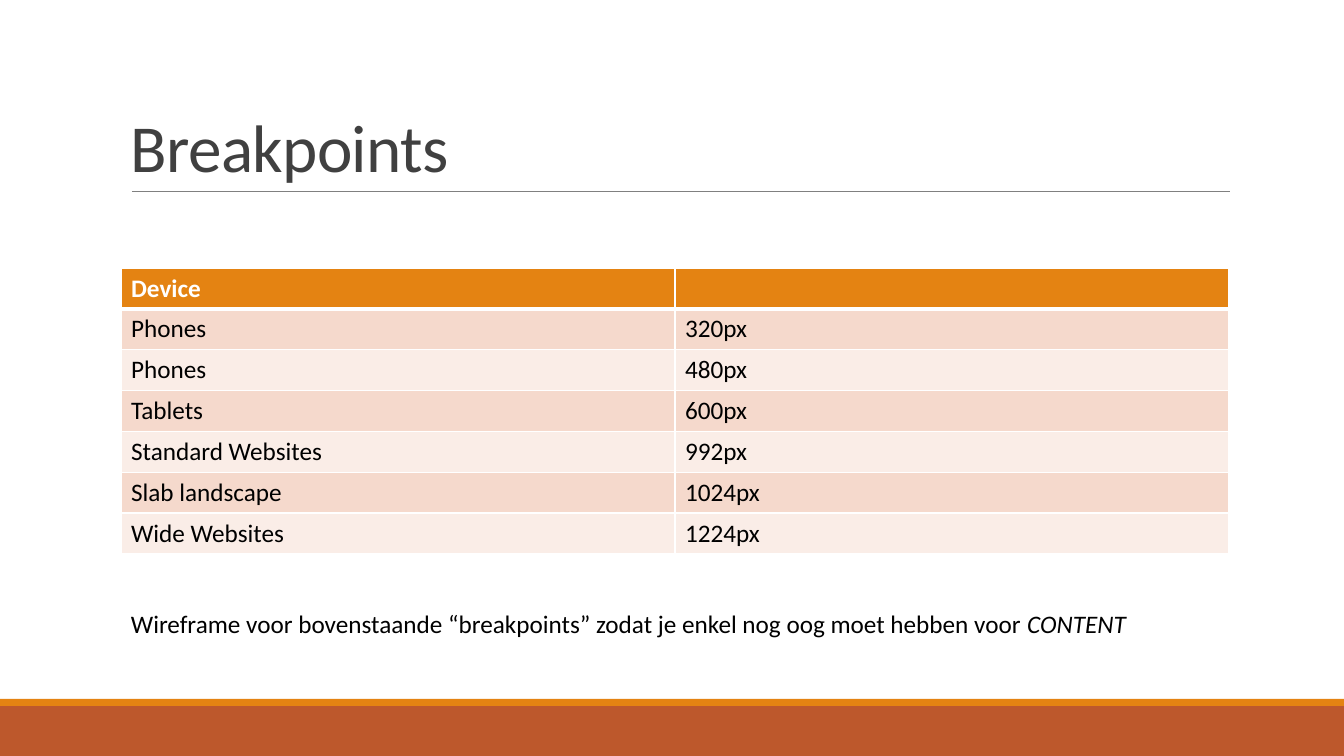
import lxml.etree
import pptx
import pptx.dml.color
import pptx.enum.shapes
import pptx.enum.text
import pptx.oxml.ns
import pptx.util

COLOURS = {
    "orange": "E48312", "rust": "BD582C", "rule": "808080", "title": "404040",
    "white": "FFFFFF", "black": "000000", "dark_band": "F5D9CC", "light_band": "FAEDE7",
}
BREAKPOINTS = [
    ("Device", ""),
    ("Phones", "320px"),
    ("Phones", "480px"),
    ("Tablets", "600px"),
    ("Standard Websites", "992px"),
    ("Slab landscape", "1024px"),
    ("Wide Websites", "1224px"),
]


def px(length):
    """Turn whole pixels into EMU."""
    return pptx.util.Emu(round(length * 9144000 / 1008))


def colour(name):
    """Look up a colour by name."""
    return pptx.dml.color.RGBColor.from_string(COLOURS[name])


def style(span, size, ink, bold=False, italic=False):
    """Format one run of text."""
    span.font.name = "Calibri"
    span.font.size = pptx.util.Pt(size)
    span.font.color.rgb = colour(ink)
    span.font.bold = bold
    span.font.italic = italic


def add_text_box(page, box):
    """Add a wrapping text box and return its frame."""
    frame = page.shapes.add_textbox(*map(px, box)).text_frame
    frame.word_wrap = True
    return frame


def add_footer(page, box):
    """Draw the thin orange strip above the rust band."""
    left, top, width, height = box
    strip = 7
    bands = [(top + strip, height - strip, "rust"), (top, strip, "orange")]
    for band_top, band_height, fill in bands:
        band = page.shapes.add_shape(
            pptx.enum.shapes.MSO_SHAPE.RECTANGLE,
            px(left), px(band_top), px(width), px(band_height))
        band.shadow.inherit = False
        band.fill.solid()
        band.fill.fore_color.rgb = colour(fill)
        band.line.fill.background()


def add_title(page, box):
    """Place the title at the bottom of its box, with a rule below."""
    left, top, width, height = box
    frame = add_text_box(page, box)
    frame.vertical_anchor = pptx.enum.text.MSO_ANCHOR.BOTTOM
    para = frame.paragraphs[0]
    para.text = "Breakpoints"
    para.line_spacing = 0.85
    style(para.runs[0], 48, "title")
    para.runs[0].font._element.set("spc", "-50")
    bottom = px(top + height)
    rule = page.shapes.add_connector(
        pptx.enum.shapes.MSO_CONNECTOR.STRAIGHT,
        px(left + 11), bottom, px(left + width + 1), bottom)
    rule.line.color.rgb = colour("rule")
    rule.line.width = pptx.util.Pt(0.5)
    lxml.etree.SubElement(rule._element.spPr, pptx.oxml.ns.qn("a:effectLst"))


def add_borders(cell, bottom_width):
    """Give a cell white borders, with its own width at the bottom."""
    properties = cell._tc.get_or_add_tcPr()
    for side, points in (("L", 1), ("R", 1), ("T", 1), ("B", bottom_width)):
        line = lxml.etree.SubElement(
            properties, pptx.oxml.ns.qn(f"a:ln{side}"), w=str(pptx.util.Pt(points)))
        fill = lxml.etree.SubElement(line, pptx.oxml.ns.qn("a:solidFill"))
        lxml.etree.SubElement(fill, pptx.oxml.ns.qn("a:srgbClr"), val=COLOURS["white"])


def add_breakpoint_table(page, box):
    """Fill the table of devices and widths under its header row."""
    table = page.shapes.add_table(len(BREAKPOINTS), 2, *map(px, box)).table
    for row, texts in enumerate(BREAKPOINTS):
        header = row == 0
        band = "orange" if header else ("light_band", "dark_band")[row % 2]
        for column, text in enumerate(texts):
            cell = table.cell(row, column)
            cell.text = text
            add_borders(cell, 3 if header else 1)
            if row == 1:
                top_line = cell._tc.tcPr.find(pptx.oxml.ns.qn("a:lnT"))
                top_line.set("w", str(pptx.util.Pt(3)))
            cell.fill.solid()
            cell.fill.fore_color.rgb = colour(band)
            for span in cell.text_frame.paragraphs[0].runs:
                style(span, 18, "white" if header else "black", bold=header)


def add_note(page, box):
    """Write the closing remark with its last word in italics."""
    para = add_text_box(page, box).paragraphs[0]
    para.text = "Wireframe voor bovenstaande “breakpoints” zodat je enkel nog oog moet hebben voor "
    style(para.runs[0], 18, "black")
    span = para.add_run()
    span.text = "CONTENT"
    style(span, 18, "black", italic=True)


def main():
    """Build the slide and save the deck."""
    deck = pptx.Presentation()
    deck.slide_width, deck.slide_height = px(1344), px(756)
    page = deck.slides.add_slide(deck.slide_layouts[6])
    add_footer(page, (0, 699, 1344, 57))
    add_title(page, (121, 31, 1108, 160))
    add_breakpoint_table(page, (121, 268, 1108, 286))
    add_note(page, (121, 603, 1078, 40))
    deck.save("out.pptx")


if __name__ == "__main__":
    main()
